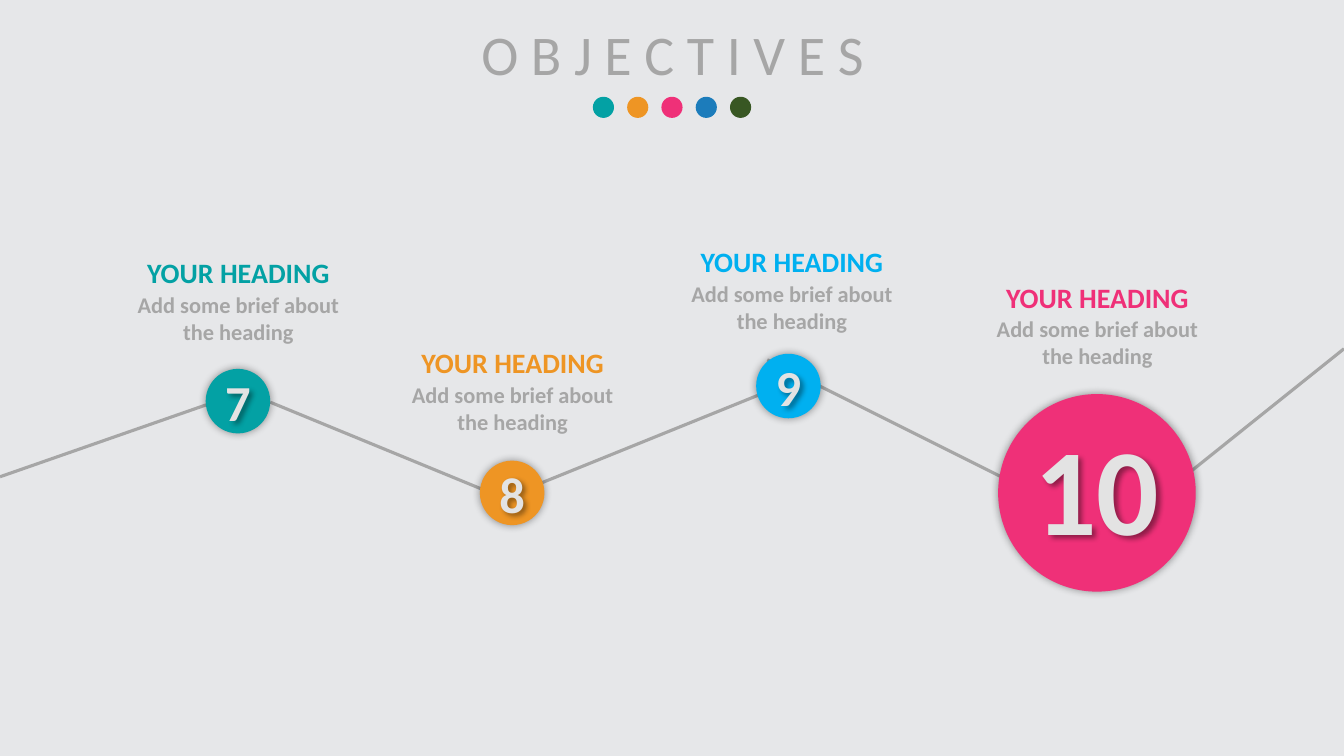
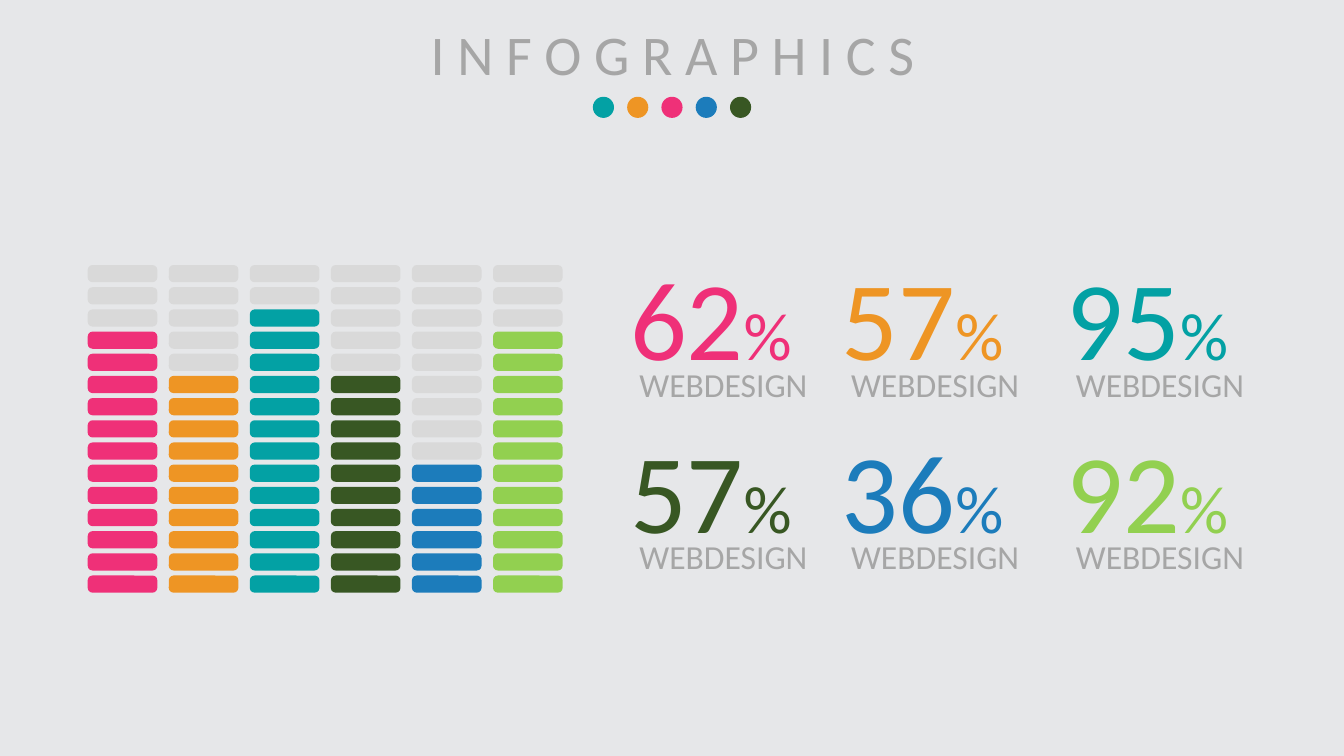
from lxml import etree
from pptx import Presentation
from pptx.dml.color import RGBColor
from pptx.enum.shapes import MSO_CONNECTOR, MSO_SHAPE
from pptx.enum.text import MSO_ANCHOR, MSO_AUTO_SIZE, PP_ALIGN
from pptx.oxml.ns import qn
from pptx.util import Inches, Pt

BACKGROUND = RGBColor(0xE6, 0xE7, 0xE9)
GRAY = RGBColor(0xA6, 0xA6, 0xA6)
EMPTY = RGBColor(0xD9, 0xD9, 0xD9)
PALE = RGBColor(0xE3, 0xE3, 0xE3)
TEAL = RGBColor(0x03, 0xA1, 0xA4)
ORANGE = RGBColor(0xEE, 0x95, 0x24)
PINK = RGBColor(0xEF, 0x30, 0x78)
BLUE = RGBColor(0x1C, 0x7C, 0xBB)
SKY = RGBColor(0x00, 0xB0, 0xF0)
FOREST = RGBColor(0x38, 0x57, 0x23)
LIME = RGBColor(0x92, 0xD0, 0x50)

FONT = "Calibri"
TITLE_ONLY = 5


def add_shadow(shape, blur, distance=0, angle=0):
    """Give the shape a soft black outer shadow; blur and distance in points."""
    effects = etree.SubElement(shape._element.spPr, qn("a:effectLst"))
    shadow = etree.SubElement(
        effects, qn("a:outerShdw"), blurRad=str(Pt(blur)), dist=str(Pt(distance)),
        dir=str(angle * 60000), algn="ctr", rotWithShape="0")
    color = etree.SubElement(shadow, qn("a:srgbClr"), val="000000")
    etree.SubElement(color, qn("a:alpha"), val="40000")


class Designer:
    """Holds the deck, its style and the slide being drawn."""

    def __init__(self):
        self.deck = Presentation()
        self.deck.slide_width = Inches(13.33)
        self.deck.slide_height = Inches(7.5)
        fill = self.deck.slide_master.background.fill
        fill.solid()
        fill.fore_color.rgb = BACKGROUND
        self.slide = None

    def new_slide(self, heading):
        layout = self.deck.slide_layouts[TITLE_ONLY]
        self.slide = self.deck.slides.add_slide(layout)
        title = self.slide.shapes.title
        title.left, title.top = Inches(2.69), Inches(0.14)
        title.width, title.height = Inches(7.96), Inches(0.77)
        self.set_text(title, [(heading, 40)], GRAY)
        for index, color in enumerate((TEAL, ORANGE, PINK, BLUE, FOREST)):
            self.circle(5.88 + 0.34 * index, 0.96, 0.21, color)

    def set_text(self, shape, spans, color, bold=False, align=PP_ALIGN.CENTER):
        """Fill the shape with one paragraph of (text, size) spans."""
        frame = shape.text_frame
        frame.word_wrap = True
        frame.auto_size = MSO_AUTO_SIZE.NONE
        frame.vertical_anchor = MSO_ANCHOR.TOP
        para = frame.paragraphs[0]
        para.alignment = align
        for text, size in spans:
            span = para.add_run()
            span.text = text
            span.font.name = FONT
            span.font.size = Pt(size)
            span.font.bold = bold
            span.font.color.rgb = color

    def text(self, left, top, width, height, spans, color, **style):
        box = self.slide.shapes.add_textbox(
            Inches(left), Inches(top), Inches(width), Inches(height))
        self.set_text(box, spans, color, **style)
        return box

    def shape(self, kind, left, top, width, height, color):
        shape = self.slide.shapes.add_shape(
            kind, Inches(left), Inches(top), Inches(width), Inches(height))
        shape.fill.solid()
        shape.fill.fore_color.rgb = color
        shape.line.fill.background()
        return shape

    def circle(self, left, top, size, color, blur=0):
        circle = self.shape(MSO_SHAPE.OVAL, left, top, size, size, color)
        if blur:
            add_shadow(circle, blur)
        else:
            circle.shadow.inherit = False

    def segment(self, left, top, color):
        segment = self.shape(MSO_SHAPE.ROUNDED_RECTANGLE, left, top, 0.69, 0.17, color)
        segment.adjustments[0] = 0.28
        segment.shadow.inherit = False

    def line(self, x1, y1, x2, y2):
        line = self.slide.shapes.add_connector(
            MSO_CONNECTOR.STRAIGHT, Inches(x1), Inches(y1), Inches(x2), Inches(y2))
        line.line.color.rgb = GRAY
        line.line.width = Pt(2.25)
        etree.SubElement(line._element.spPr, qn("a:effectLst"))

    def milestone(self, number, color, circle, number_box, number_size, label):
        left, top, size = circle
        self.circle(left, top, size, color, blur=6)
        number_top, number_height = number_box
        box = self.text(left, number_top, size, number_height,
                        [(number, number_size)], PALE, bold=True)
        add_shadow(box, 4, distance=3, angle=45)
        left, top = label
        self.text(left, top, 2.33, 0.44, [("YOUR HEADING", 20)], color, bold=True)
        self.text(left, top + 0.35, 2.33, 0.64,
                  [("Add some brief about the heading", 16)], GRAY, bold=True)

    def statistic(self, left, top, value, color):
        self.text(left, top, 2.15, 1.45, [(value, 80), ("%", 48)], color,
                  align=PP_ALIGN.LEFT)
        self.text(left - 0.05, top + 1.14, 2.15, 0.5, [("WEBDESIGN", 24)], GRAY)


def draw_objectives(designer):
    designer.new_slide("O B J E C T I V E S")
    for ends in ((2.15, 3.98, 0, 4.73), (4.87, 4.89, 2.68, 3.99),
                 (5.1, 4.9, 7.72, 3.84), (10.25, 4.89, 7.61, 3.57),
                 (13.33, 3.46, 11.62, 4.83)):
        designer.line(*ends)
    milestones = (
        ("7", TEAL, (2.04, 3.66, 0.64), (3.63, 0.71), 36, (1.2, 2.49)),
        ("8", ORANGE, (4.76, 4.57, 0.64), (4.54, 0.71), 36, (3.92, 3.38)),
        ("9", SKY, (7.5, 3.51, 0.64), (3.48, 0.71), 36, (6.69, 2.38)),
        ("10", PINK, (9.9, 3.91, 1.96), (4.04, 1.58), 88, (9.72, 2.73)),
    )
    for milestone in milestones:
        designer.milestone(*milestone)


def draw_infographics(designer):
    designer.new_slide("I N F O G R A P H I C S")
    bars = ((12, PINK), (10, ORANGE), (13, TEAL), (10, FOREST), (6, BLUE), (12, LIME))
    column_gap = (4.89 - 0.87) / (len(bars) - 1)
    for column, (filled, color) in enumerate(bars):
        for row in range(15):
            designer.segment(0.87 + column_gap * column, 5.71 - 0.22 * row,
                             color if row < filled else EMPTY)

    values = ("62", "57", "95", "57", "36", "92")
    for index, (value, (_, color)) in enumerate(zip(values, bars)):
        row, column = divmod(index, 3)
        designer.statistic((6.15, 8.25, 10.48)[column], 2.42 + 1.71 * row, value, color)


def main():
    designer = Designer()
    draw_objectives(designer)
    draw_infographics(designer)
    designer.deck.save("out.pptx")


if __name__ == "__main__":
    main()
